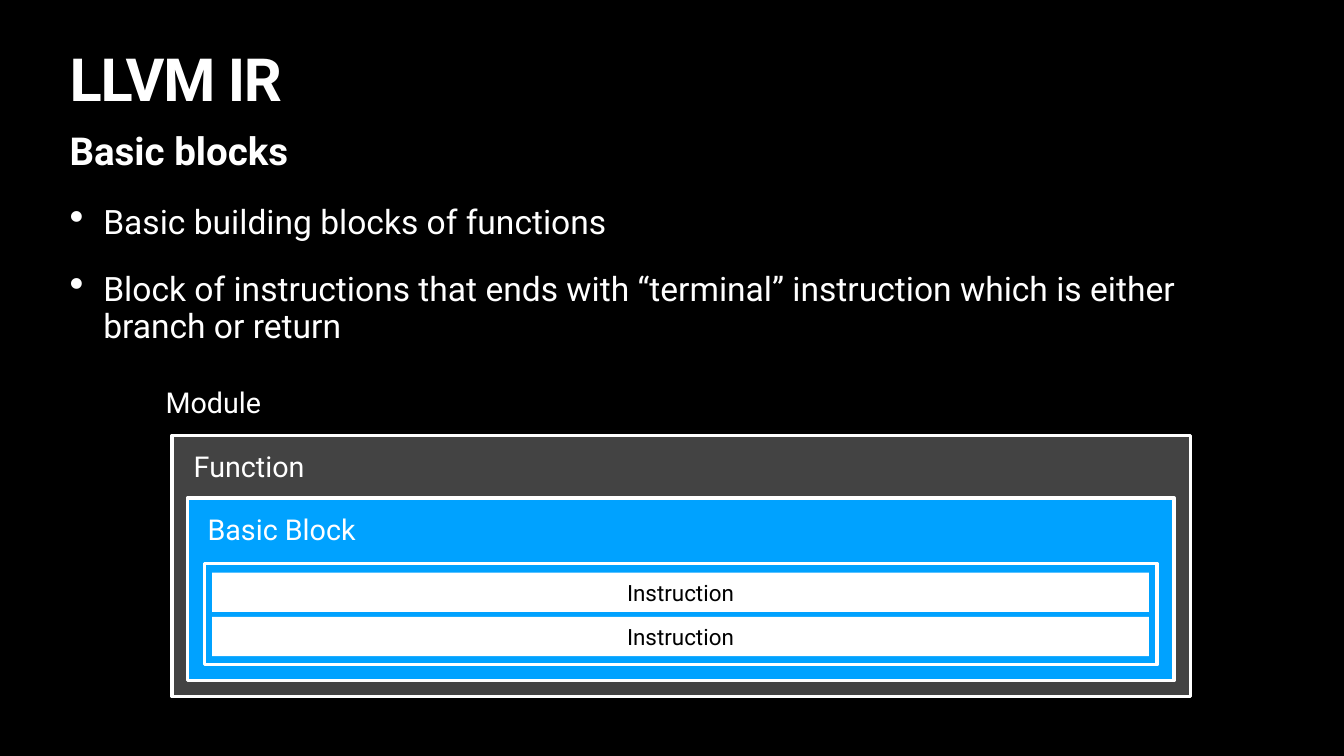
from dataclasses import dataclass
from typing import NamedTuple

from lxml import etree
from pptx import Presentation
from pptx.dml.color import RGBColor
from pptx.enum.shapes import MSO_SHAPE
from pptx.enum.text import MSO_ANCHOR, PP_ALIGN
from pptx.oxml.ns import qn
from pptx.util import Pt

EMU_PER_PX = 9144  # 100 px to the inch


@dataclass(frozen=True)
class Theme:
    font: str = "Roboto"
    black: str = "000000"
    white: str = "FFFFFF"
    gray: str = "434343"
    blue: str = "00A2FF"
    title: int = 85
    subtitle: int = 55
    bullet: int = 48
    label: int = 41
    instruction: int = 32
    border: int = 5
    inset: int = 6


THEME = Theme()


class Box(NamedTuple):
    left: int
    top: int
    width: int
    height: int

    def inside(self, left, top, width, height):
        """Return a box placed relative to this one's top left corner."""
        return Box(self.left + left, self.top + top, width, height)

    def emu(self):
        return [px(value) for value in self]


def px(value):
    return value * EMU_PER_PX


def set_up_frame(frame, anchor=MSO_ANCHOR.TOP):
    frame.word_wrap = True
    frame.vertical_anchor = anchor
    frame.margin_left = frame.margin_right = px(THEME.inset)
    frame.margin_top = frame.margin_bottom = px(THEME.inset)


def add_run(paragraph, text, size, color=THEME.white, bold=False):
    run = paragraph.add_run()
    run.text = text
    run.font.name = THEME.font
    run.font.size = Pt(size)
    run.font.bold = bold
    run.font.color.rgb = RGBColor.from_string(color)
    return run


def add_text_frame(slide, box, anchor=MSO_ANCHOR.TOP):
    frame = slide.shapes.add_textbox(*box.emu()).text_frame
    set_up_frame(frame, anchor)
    return frame


def add_centered_text(frame, text, size, color=THEME.white):
    paragraph = frame.paragraphs[0]
    paragraph.alignment = PP_ALIGN.CENTER
    add_run(paragraph, text, size, color)


def add_rectangle(slide, box, fill, border=None):
    rectangle = slide.shapes.add_shape(MSO_SHAPE.RECTANGLE, *box.emu())
    rectangle.shadow.inherit = False
    rectangle.fill.solid()
    rectangle.fill.fore_color.rgb = RGBColor.from_string(fill)
    if border:
        rectangle.line.color.rgb = RGBColor.from_string(border)
        rectangle.line.width = Pt(THEME.border)
    else:
        rectangle.line.fill.background()
    return rectangle


def add_label(slide, box, text):
    frame = add_text_frame(slide, box, MSO_ANCHOR.MIDDLE)
    add_centered_text(frame, text, THEME.label)


def add_heading(slide, box, title, subtitle):
    heading = slide.shapes.title
    heading.left, heading.top, heading.width, heading.height = box.inside(0, 0, box.width, 157).emu()
    set_up_frame(heading.text_frame)
    paragraph = heading.text_frame.paragraphs[0]
    paragraph.alignment = PP_ALIGN.LEFT
    paragraph.line_spacing = 0.8
    run = add_run(paragraph, title, THEME.title, bold=True)
    run.font._element.set("spc", "-170")

    frame = add_text_frame(slide, box.inside(0, 142, box.width, 102))
    add_run(frame.paragraphs[0], subtitle, THEME.subtitle, bold=True)


def make_bullet(paragraph, indent):
    properties = paragraph._p.get_or_add_pPr()
    properties.set("marL", str(px(indent)))
    properties.set("indent", str(-px(indent)))
    etree.SubElement(properties, qn("a:buSzPct"), val="123000")
    etree.SubElement(properties, qn("a:buChar"), char="•")


def add_bullets(slide, box, items):
    frame = add_text_frame(slide, box)
    for index, item in enumerate(items):
        paragraph = frame.add_paragraph() if index else frame.paragraphs[0]
        make_bullet(paragraph, 67)
        paragraph.line_spacing = 0.9
        if index:
            paragraph.space_before = Pt(45)
        add_run(paragraph, item, THEME.bullet)


def add_instructions(slide, box, instructions):
    row_height, pitch = 78, 88
    for index, instruction in enumerate(instructions):
        row = add_rectangle(slide, box.inside(0, index * pitch, box.width, row_height), THEME.white)
        set_up_frame(row.text_frame, MSO_ANCHOR.MIDDLE)
        add_centered_text(row.text_frame, instruction, THEME.instruction, THEME.black)


def add_module_diagram(slide, box):
    """Nest module, function and basic block frames around the instructions."""
    levels = [
        ("Module", (0, 0, 291, 101), (63, 117, 2021, 518), THEME.gray),
        ("Function", (71, 127, 291, 101), (94, 241, 1958, 362), THEME.blue),
        ("Basic Block", (96, 253, 370, 101), (128, 371, 1890, 201), THEME.blue),
    ]
    for name, label, frame, fill in levels:
        add_rectangle(slide, box.inside(*frame), fill, THEME.white)
        add_label(slide, box.inside(*label), name)
    add_instructions(slide, box.inside(143, 389, 1859, 166), ["Instruction"] * 2)


def main():
    presentation = Presentation()
    presentation.slide_width, presentation.slide_height = px(2667), px(1500)
    slide = presentation.slides.add_slide(presentation.slide_layouts[5])
    slide.background.fill.solid()
    slide.background.fill.fore_color.rgb = RGBColor.from_string(THEME.black)

    add_heading(slide, Box(132, 104, 2403, 244), "LLVM IR", "Basic blocks")
    add_bullets(slide, Box(132, 401, 2403, 333), [
        "Basic building blocks of functions",
        "Block of instructions that ends with “terminal” instruction which is either branch or return",
    ])
    add_module_diagram(slide, Box(278, 747, 2084, 635))
    presentation.save("out.pptx")


if __name__ == "__main__":
    main()
